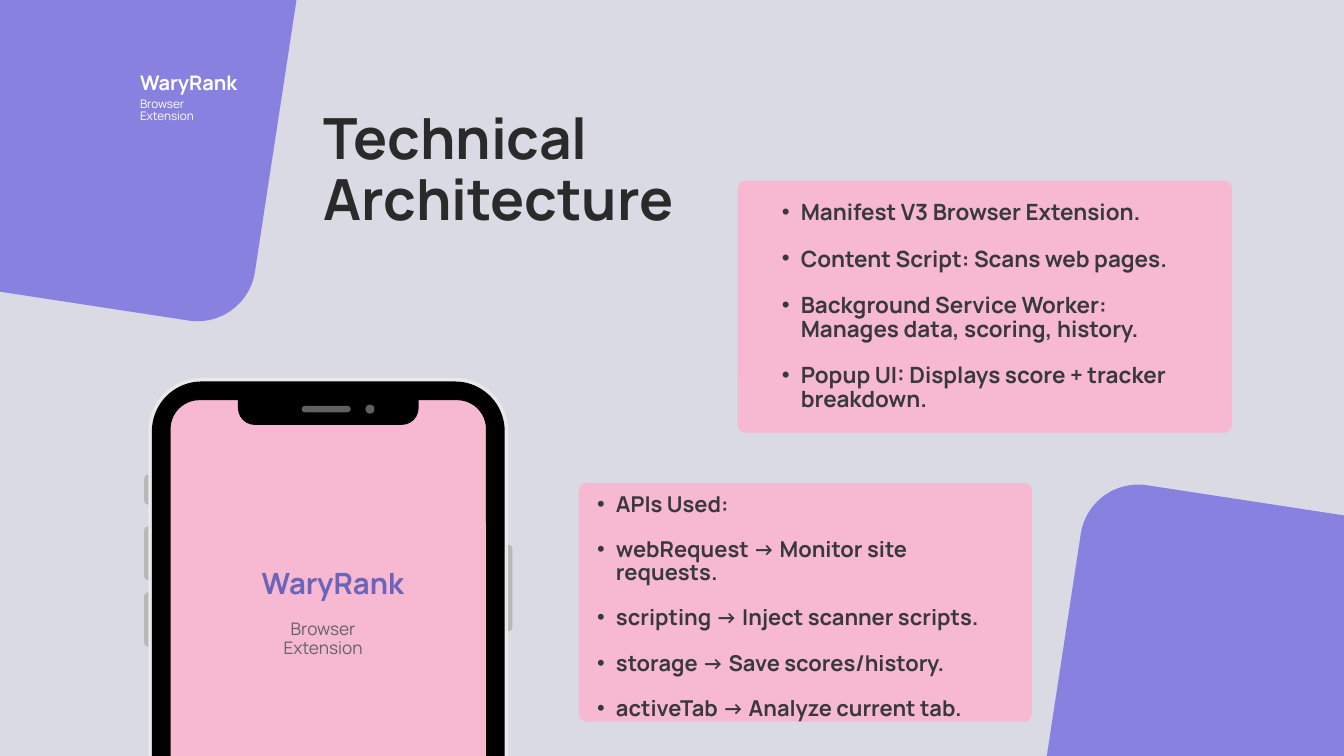
from lxml.etree import SubElement
from pptx import Presentation
from pptx.dml.color import RGBColor
from pptx.enum.shapes import MSO_SHAPE
from pptx.enum.text import PP_ALIGN
from pptx.oxml.ns import qn
from pptx.util import Pt

EMU_PER_PX = 9525
SLIDE_SIZE = (1920, 1080)
FONT = "Manrope"
BACKGROUND, PURPLE, PINK = "D9DAE4", "8981DF", "F7B8D2"
BLACK, BEZEL, BUTTON, SENSOR = "000000", "E9E9E9", "B8B8B8", "606060"

BRAND = "WaryRank"
TAGLINE = "Browser Extension"

# Boxes are left, top, width, height in px.
BLOBS = [(-76, -179, 477, 617), (1477, 733, 767, 993)]
BLOB_RADIUS, BLOB_ANGLE = 83, 8.7
CARDS = [(1054, 258, 706, 360), (827, 690, 647, 341)]
CARD_RADIUS = 11

BUTTONS = [(206, 678, 43), (206, 752, 77), (206, 846, 78), (720, 778, 124)]  # left, top, height
BUTTON_WIDTH = 12
FRAME = (212, 540, 514, 1039)
FRAME_RADIUS = 76
RIM, BORDER = 5, 26
SCREEN_RADIUS = 42
NOTCH = (340, 557, 258, 50)
NOTCH_RADIUS = 24
SPEAKER = (431, 580, 70, 9)
CAMERA = (522, 578, 13, 13)

LABELS = [
    ((462, 158, 632, 180), "Technical Architecture",
     dict(size=60.8, leading=65, color="2B2A2A", bold=True)),
    ((200, 105, 203, 35), BRAND, dict(size=21.5, leading=23, color="FFFFFF", bold=True)),
    ((200, 140, 128, 36), TAGLINE, dict(size=12.6, leading=13.5, color="FFFFFF")),
    ((327, 813, 297, 48), BRAND,
     dict(size=31.4, leading=33.6, color="6B64B8", bold=True, align=PP_ALIGN.CENTER)),
    ((368, 887, 187, 54), TAGLINE,
     dict(size=18.5, leading=19.8, color="646363", align=PP_ALIGN.CENTER)),
]
LISTS = [
    ((1089, 288, 636, 330), [
        "Manifest V3 Browser Extension.",
        "Content Script: Scans web pages.",
        "Background Service Worker: Manages data, scoring, history.",
        "Popup UI: Displays score + tracker breakdown.",
    ], dict(size=24, leading=25, indent=55)),
    ((827, 706, 616, 354), [
        "APIs Used:",
        "webRequest → Monitor site requests.",
        "scripting → Inject scanner scripts.",
        "storage → Save scores/history.",
        "activeTab → Analyze current tab.",
    ], dict(size=23.4, leading=24.3, indent=53)),
]
BULLET_HANG = 27


def px(n):
    return int(n * EMU_PER_PX)


def rgb(color):
    return RGBColor.from_string(color)


def inset(box, n):
    left, top, width, height = box
    return left + n, top + n, width - 2 * n, height - 2 * n


def add_shape(slide, kind, box, color):
    sp = slide.shapes.add_shape(kind, *map(px, box))
    sp.shadow.inherit = False
    sp.fill.solid()
    sp.fill.fore_color.rgb = rgb(color)
    sp.line.fill.background()
    return sp


def add_rounded(slide, box, color, radius):
    sp = add_shape(slide, MSO_SHAPE.ROUNDED_RECTANGLE, box, color)
    sp.adjustments[0] = min(0.5, radius / min(box[2:]))
    return sp


def add_text(slide, box, lines, *, size, leading, color="393939", bold=False,
             align=PP_ALIGN.LEFT, indent=0):
    """Add one paragraph per line; an indent makes them bullets one line apart."""
    tf = slide.shapes.add_textbox(*map(px, box)).text_frame
    tf.word_wrap = True
    tf.margin_left = tf.margin_top = tf.margin_right = tf.margin_bottom = 0
    for i, line in enumerate(lines):
        p = tf.add_paragraph() if i else tf.paragraphs[0]
        p.alignment = align
        p.line_spacing = Pt(leading)
        if indent:
            p.space_after = Pt(leading)
            pPr = p._p.get_or_add_pPr()
            pPr.set("marL", str(px(indent)))
            pPr.set("indent", str(px(-BULLET_HANG)))
            SubElement(pPr, qn("a:buFont")).set("typeface", "Arial")
            SubElement(pPr, qn("a:buChar")).set("char", "•")
        r = p.add_run()
        r.text = line
        r.font.name = FONT
        r.font.size = Pt(size)
        r.font.bold = bold
        r.font.color.rgb = rgb(color)


def add_phone(slide):
    for left, top, height in BUTTONS:
        add_rounded(slide, (left, top, BUTTON_WIDTH, height), BUTTON, BUTTON_WIDTH / 2)
    add_rounded(slide, FRAME, BEZEL, FRAME_RADIUS)
    body = inset(FRAME, RIM)
    add_rounded(slide, body, BLACK, FRAME_RADIUS - RIM)
    screen = add_rounded(slide, inset(body, BORDER), PINK, SCREEN_RADIUS)
    screen.line.color.rgb = rgb(BLACK)
    screen.line.width = Pt(1)
    notch = add_shape(slide, MSO_SHAPE.ROUND_2_SAME_RECTANGLE, NOTCH, BLACK)
    notch.adjustments[0] = 0
    notch.adjustments[1] = NOTCH_RADIUS / NOTCH[3]
    add_rounded(slide, SPEAKER, SENSOR, SPEAKER[3] / 2)
    add_shape(slide, MSO_SHAPE.OVAL, CAMERA, SENSOR)


def main():
    prs = Presentation()
    prs.slide_width, prs.slide_height = map(px, SLIDE_SIZE)
    slide = prs.slides.add_slide(prs.slide_layouts[6])
    slide.background.fill.solid()
    slide.background.fill.fore_color.rgb = rgb(BACKGROUND)

    for box in BLOBS:
        add_rounded(slide, box, PURPLE, BLOB_RADIUS).rotation = BLOB_ANGLE
    for box in CARDS:
        add_rounded(slide, box, PINK, CARD_RADIUS)
    add_phone(slide)
    for box, text, style in LABELS:
        add_text(slide, box, [text], **style)
    for box, lines, style in LISTS:
        add_text(slide, box, lines, bold=True, **style)
    prs.save("out.pptx")


if __name__ == "__main__":
    main()
